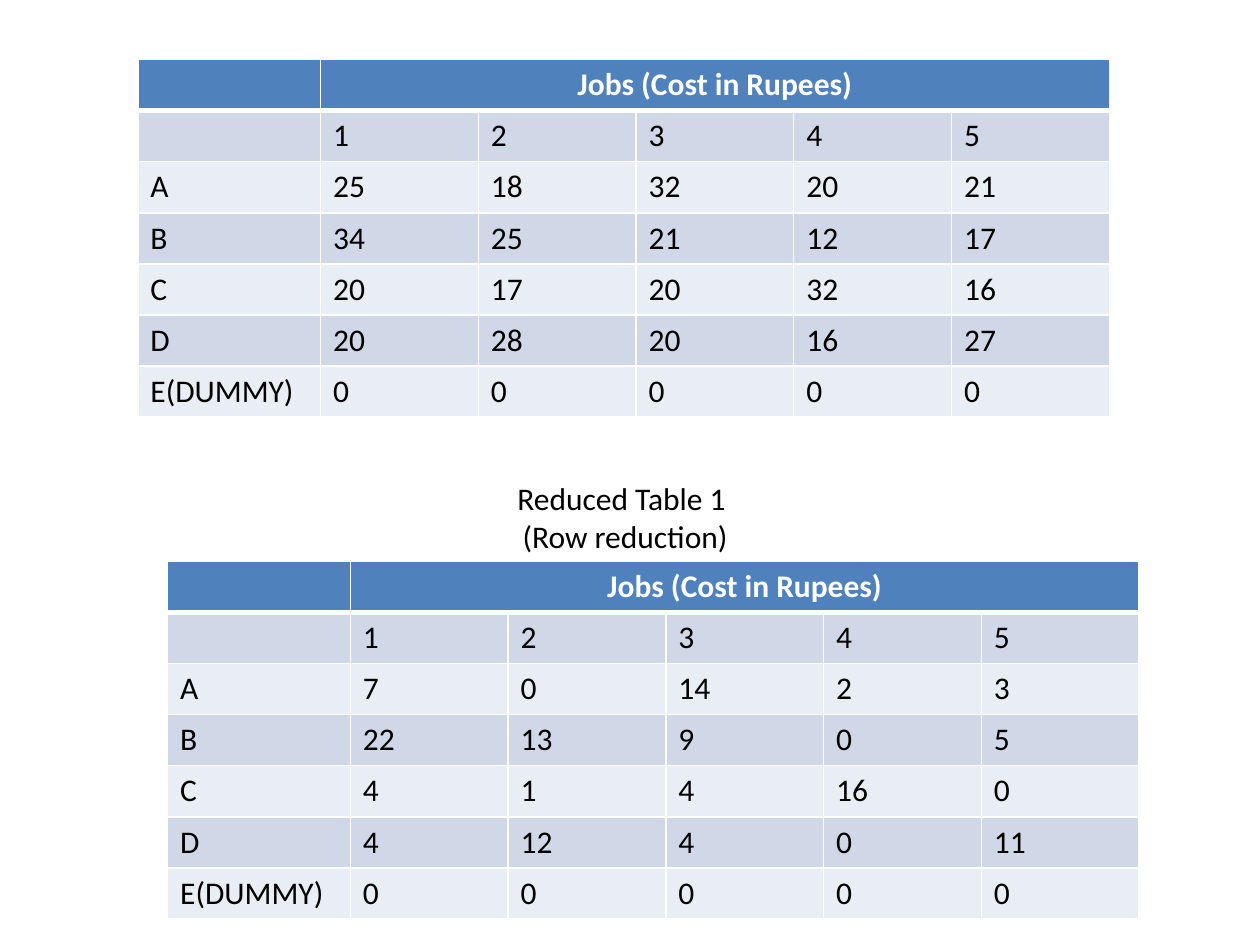
from dataclasses import dataclass

from lxml.etree import SubElement
from pptx import Presentation
from pptx.dml.color import RGBColor
from pptx.enum.text import MSO_AUTO_SIZE, PP_ALIGN
from pptx.oxml.ns import qn
from pptx.util import Pt


@dataclass(frozen=True)
class Theme:
    font: str = "Calibri"
    size: int = 18
    header: str = "4F81BD"
    bands: tuple = ("D0D8E8", "E9EDF4")
    text: str = "000000"
    light: str = "FFFFFF"
    border: int = 1
    header_border: int = 3


THEME = Theme()
COLUMNS = [104.4] + [90.16] * 5
ROW_HEIGHT = 29.2
WORKERS = ["A", "B", "C", "D", "E(DUMMY)"]
COSTS = [
    [25, 18, 32, 20, 21],
    [34, 25, 21, 12, 17],
    [20, 17, 20, 32, 16],
    [20, 28, 20, 16, 27],
    [0, 0, 0, 0, 0],
]
REDUCED = [[cost - min(row) for cost in row] for row in COSTS]


def format_paragraph(p, color=THEME.text, bold=False, align=PP_ALIGN.LEFT):
    p.alignment = align
    values = {"name": THEME.font, "size": Pt(THEME.size), "bold": bold}
    for target in [p.font] + [r.font for r in p.runs]:
        for name, value in values.items():
            setattr(target, name, value)
        target.color.rgb = RGBColor.from_string(color)


def add_borders(cell, bottom):
    tc_pr = cell._tc.get_or_add_tcPr()
    for side in ("L", "R", "T", "B"):
        width = bottom if side == "B" else THEME.border
        ln = SubElement(tc_pr, qn(f"a:ln{side}"), w=str(Pt(width)))
        fill = SubElement(ln, qn("a:solidFill"))
        SubElement(fill, qn("a:srgbClr"), val=THEME.light)


def format_cell(cell, text, fill, bottom=THEME.border, **style):
    add_borders(cell, bottom)
    cell.fill.solid()
    cell.fill.fore_color.rgb = RGBColor.from_string(fill)
    cell.text = text
    format_paragraph(cell.text_frame.paragraphs[0], **style)


def add_cost_table(s, left, top, costs):
    rows = [["", "Jobs (Cost in Rupees)", "", "", "", ""]]
    rows.append([""] + [str(job) for job in range(1, 6)])
    rows += [[worker] + [str(v) for v in row] for worker, row in zip(WORKERS, costs)]
    frame = s.shapes.add_table(
        len(rows), len(COLUMNS), Pt(left), Pt(top),
        Pt(sum(COLUMNS)), Pt(ROW_HEIGHT * len(rows)),
    )
    table = frame.table
    for column, width in zip(table.columns, COLUMNS):
        column.width = Pt(width)
    for i, row in enumerate(rows):
        table.rows[i].height = Pt(ROW_HEIGHT)
        for j, text in enumerate(row):
            if i == 0:
                format_cell(
                    table.cell(i, j), text, THEME.header, THEME.header_border,
                    color=THEME.light, bold=True, align=PP_ALIGN.CENTER,
                )
            else:
                format_cell(table.cell(i, j), text, THEME.bands[(i - 1) % 2])
    table.cell(0, 1).merge(table.cell(0, len(COLUMNS) - 1))


def add_caption(s, left, top, width, height, lines):
    sp = s.shapes.add_textbox(Pt(left), Pt(top), Pt(width), Pt(height))
    tf = sp.text_frame
    for name, value in {"word_wrap": True, "auto_size": MSO_AUTO_SIZE.SHAPE_TO_FIT_TEXT}.items():
        setattr(tf, name, value)
    tf.text = "\n".join(lines)
    for p in tf.paragraphs:
        format_paragraph(p, align=PP_ALIGN.CENTER)


def main():
    prs = Presentation()
    prs.slide_width, prs.slide_height = Pt(720), Pt(540)
    s = prs.slides.add_slide(prs.slide_layouts[6])
    add_cost_table(s, 78.75, 34, COSTS)
    add_caption(s, 101.25, 270, 512, 51, ["Reduced Table 1 ", "(Row reduction)"])
    add_cost_table(s, 95.75, 320.75, REDUCED)
    prs.save("out.pptx")


if __name__ == "__main__":
    main()
